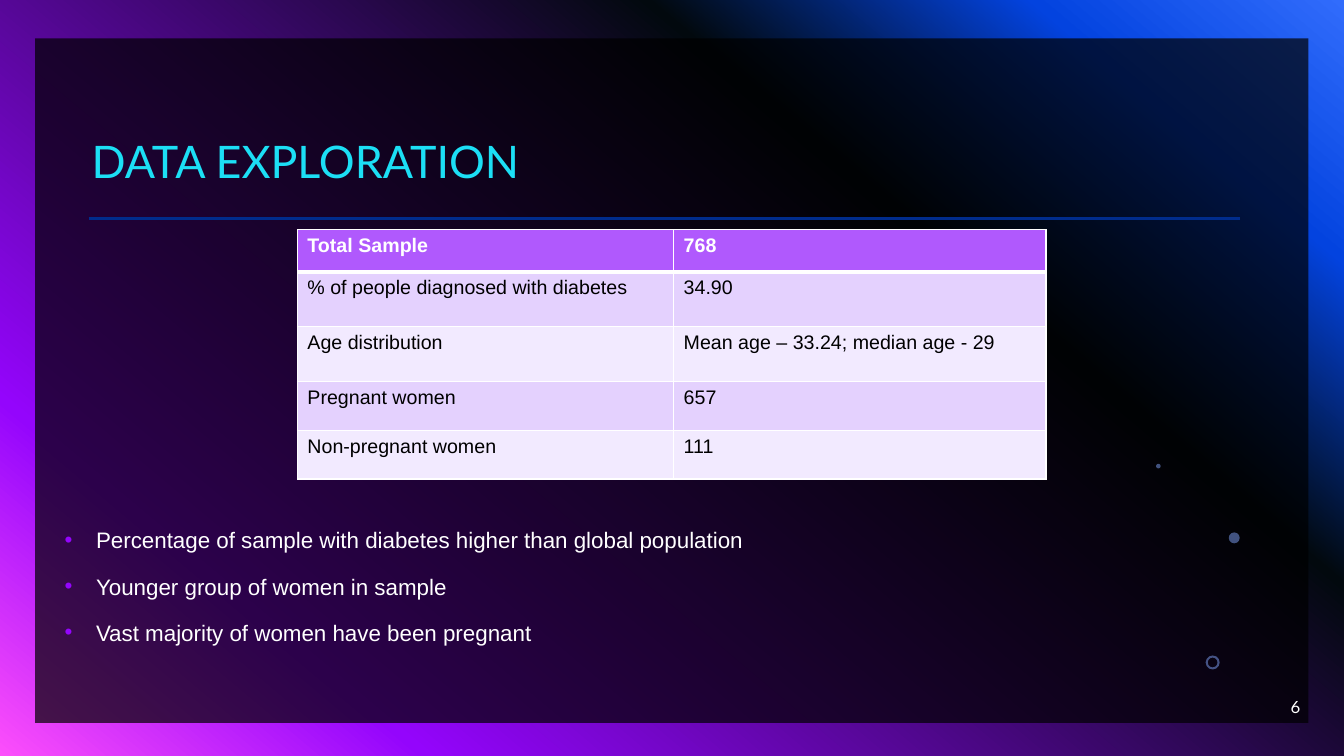
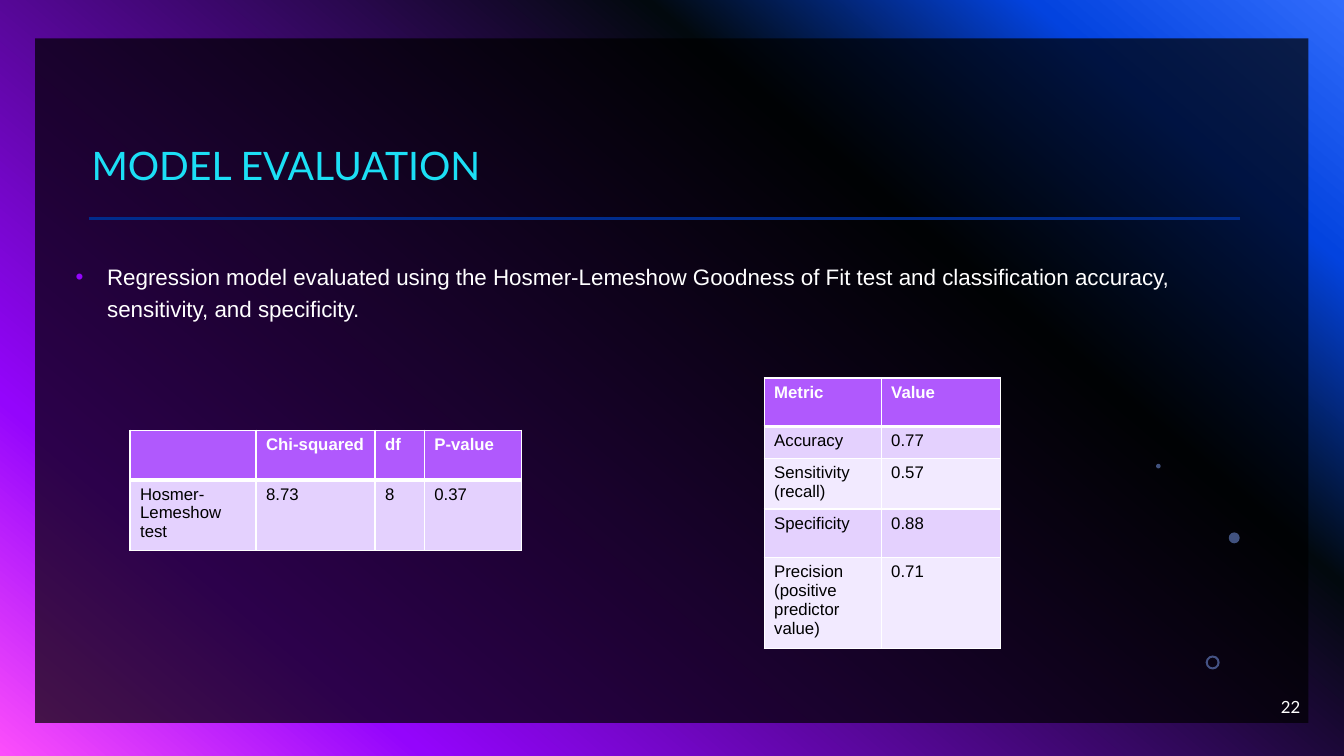
from dataclasses import dataclass

import lxml.etree
import pptx
import pptx.dml.color
import pptx.enum.shapes
import pptx.enum.text
import pptx.oxml.ns
import pptx.util

Pt = pptx.util.Pt
qn = pptx.oxml.ns.qn
SHAPE = pptx.enum.shapes.MSO_SHAPE
ALIGN = pptx.enum.text.PP_ALIGN
ANCHOR = pptx.enum.text.MSO_ANCHOR


@dataclass(frozen=True)
class Theme:
    heading_font: str = "Lato"
    body_font: str = "Arial"
    title: str = "1CDFF5"
    text: str = "FFFFFF"
    dark_text: str = "000000"
    panel: str = "000000"
    rule: str = "002C8C"
    dot: str = "83A7FD"
    bullet: str = "9405FC"
    header_fill: str = "B059FD"
    band_fills: tuple = ("E4D1FE", "F2EAFF")
    border: str = "FFFFFF"
    backdrop: tuple = ((0, "316CFC"), (14, "0343DF"), (31, "02090E"),
                       (81, "9405FC"), (100, "FC4EFB"))
    body_size: int = 16
    number_size: int = 12


THEME = Theme()


# Helpers
def rgb(color):
    return pptx.dml.color.RGBColor.from_string(color)


def add_element(parent, tag, **attributes):
    return lxml.etree.SubElement(parent, qn(tag), attributes)


def place(shape, left, top, width, height):
    shape.left, shape.top = Pt(left), Pt(top)
    shape.width, shape.height = Pt(width), Pt(height)


def write(para, text, font=THEME.body_font, size=THEME.body_size,
          color=THEME.text, bold=False, align=ALIGN.LEFT):
    para.alignment = align
    span = para.add_run()
    span.text = text
    span.font.name = font
    span.font.size = Pt(size)
    span.font.bold = bold
    span.font.color.rgb = rgb(color)


# Shared backdrop and decoration
def paint_background(master):
    fill = master.background.fill
    fill.gradient()
    fill.gradient_angle = 230
    stops = next(master.element.iter(qn("a:gsLst")))
    for stop in list(stops):
        stops.remove(stop)
    for position, color in THEME.backdrop:
        stop = add_element(stops, "a:gs", pos=str(position * 1000))
        add_element(stop, "a:srgbClr", val=color)


def add_tinted_shape(page, kind, frame, color, opacity):
    shape = page.shapes.add_shape(kind, *map(Pt, frame))
    shape.shadow.inherit = False
    shape.fill.solid()
    shape.fill.fore_color.rgb = rgb(color)
    shape.line.fill.background()
    tint = next(shape.element.spPr.iter(qn("a:srgbClr")))
    add_element(tint, "a:alpha", val=str(opacity * 1000))
    return shape


def add_rule(page, left, right, y):
    rule = page.shapes.add_connector(
        pptx.enum.shapes.MSO_CONNECTOR.STRAIGHT, Pt(left), Pt(y), Pt(right), Pt(y))
    rule.line.color.rgb = rgb(THEME.rule)
    rule.line.width = Pt(2)
    add_element(rule.element.spPr, "a:effectLst")
    return rule


def decorate_layout(layout, page):
    """Draw the shared parts on a page, then move them to its layout."""
    panel = add_tinted_shape(page, SHAPE.RECTANGLE, (25.2, 27.4, 909.4, 488.9),
                             THEME.panel, 70)
    rule = add_rule(page, 63.4, 885.6, 156.2)
    ring = add_tinted_shape(page, SHAPE.DONUT, (861.2, 468.2, 10, 10), THEME.dot, 49)
    ring.adjustments[0] = 0.15
    dots = [add_tinted_shape(page, SHAPE.OVAL, (left, top, size, size), THEME.dot, 49)
            for left, top, size in ((877.7, 380.3, 7.8), (825.8, 331.3, 3.3))]
    for number, shape in enumerate([panel, rule, ring, *dots], start=101):
        next(shape.element.iter(qn("p:cNvPr"))).set("id", str(number))
        layout.shapes.element.append(shape.element)


# Slide text
def add_title(page, text, size):
    title = page.shapes.title
    place(title, 58.2, 34, 826.8, 104.3)
    frame = title.text_frame
    frame.auto_size = pptx.enum.text.MSO_AUTO_SIZE.NONE
    frame.vertical_anchor = ANCHOR.BOTTOM
    para = frame.paragraphs[0]
    para.line_spacing = 0.9
    write(para, text, font=THEME.heading_font, size=size, color=THEME.title)


def add_bullets(page, lines, bounds):
    body = page.placeholders[1]
    place(body, *bounds)
    frame = body.text_frame
    frame.auto_size = pptx.enum.text.MSO_AUTO_SIZE.NONE
    for index, line in enumerate(lines):
        para = frame.add_paragraph() if index else frame.paragraphs[0]
        para.line_spacing = 1.2
        para.space_before = Pt(10 if index else 0)
        properties = para._p.get_or_add_pPr()
        properties.set("marL", str(Pt(22.5)))
        properties.set("indent", str(-Pt(22.5)))
        color = add_element(properties, "a:buClr")
        add_element(color, "a:srgbClr", val=THEME.bullet)
        add_element(properties, "a:buFont", typeface=THEME.body_font)
        add_element(properties, "a:buChar", char="•")
        write(para, line)


def add_page_number(page, number):
    box = page.shapes.add_textbox(Pt(720), Pt(490.3), Pt(216), Pt(28.8))
    box.text_frame.word_wrap = True
    box.text_frame.vertical_anchor = ANCHOR.MIDDLE
    write(box.text_frame.paragraphs[0], str(number), font=THEME.heading_font,
          size=THEME.number_size, align=ALIGN.RIGHT)


# Tables
def add_borders(cell, top, bottom):
    properties = cell._tc.get_or_add_tcPr()
    for side, width in (("L", 1), ("R", 1), ("T", top), ("B", bottom)):
        line = add_element(properties, f"a:ln{side}", w=str(Pt(width)))
        fill = add_element(line, "a:solidFill")
        add_element(fill, "a:srgbClr", val=THEME.border)


def add_data_table(page, rows, left, top, widths, heights, size):
    table = page.shapes.add_table(
        len(rows), len(widths), Pt(left), Pt(top),
        Pt(sum(widths)), Pt(sum(heights))).table
    table.horz_banding = False
    for column, width in zip(table.columns, widths):
        column.width = Pt(width)
    for row, height in zip(table.rows, heights):
        row.height = Pt(height)
    for r, values in enumerate(rows):
        header = r == 0
        for c, value in enumerate(values):
            cell = table.cell(r, c)
            add_borders(cell, top=3 if r == 1 else 1, bottom=3 if header else 1)
            cell.fill.solid()
            cell.fill.fore_color.rgb = rgb(
                THEME.header_fill if header else THEME.band_fills[(r - 1) % 2])
            if value:
                write(cell.text_frame.paragraphs[0], value, size=size, bold=header,
                      color=THEME.text if header else THEME.dark_text)


# Slides
def fill_exploration(page):
    add_title(page, "DATA EXPLORATION", 32)
    add_bullets(page, [
        "Percentage of sample with diabetes higher than global population",
        "Younger group of women in sample",
        "Vast majority of women have been pregnant",
    ], (38.9, 368.6, 882, 121))
    add_page_number(page, 6)
    add_data_table(page, [
        ("Total Sample", "768"),
        ("% of people diagnosed with diabetes", "34.90"),
        ("Age distribution", "Mean age – 33.24; median age - 29"),
        ("Pregnant women", "657"),
        ("Non-pregnant women", "111"),
    ], 212.4, 164.2, (268.8, 266), (30, 39.2, 39.2, 34.8, 34.8), 14)


def fill_evaluation(page):
    add_title(page, "MODEL EVALUATION", 28)
    add_bullets(page, [
        "Regression model evaluated using the Hosmer-Lemeshow Goodness of Fit test "
        "and classification accuracy, sensitivity, and specificity.",
    ], (46.8, 180.7, 838.8, 116))
    add_page_number(page, 22)
    add_data_table(page, [
        ("", "Chi-squared", "df", "P-value"),
        ("Hosmer-Lemeshow test", "8.73", "8", "0.37"),
    ], 92.9, 307.4, (90, 85, 35.2, 69.6), (35.3, 50.4), 12)
    add_data_table(page, [
        ("Metric", "Value"),
        ("Accuracy", "0.77"),
        ("Sensitivity (recall)", "0.57"),
        ("Specificity", "0.88"),
        ("Precision (positive predictor value)", "0.71"),
    ], 545.8, 270, (83.6, 85), (34.6, 23, 34.6, 34.6, 61), 12)


def main():
    deck = pptx.Presentation()
    deck.slide_width, deck.slide_height = Pt(960), Pt(540)
    layout = deck.slide_layouts[1]
    paint_background(deck.slide_master)
    exploration, evaluation = [deck.slides.add_slide(layout) for _ in range(2)]
    decorate_layout(layout, exploration)
    fill_exploration(exploration)
    fill_evaluation(evaluation)
    deck.save("out.pptx")


if __name__ == "__main__":
    main()
